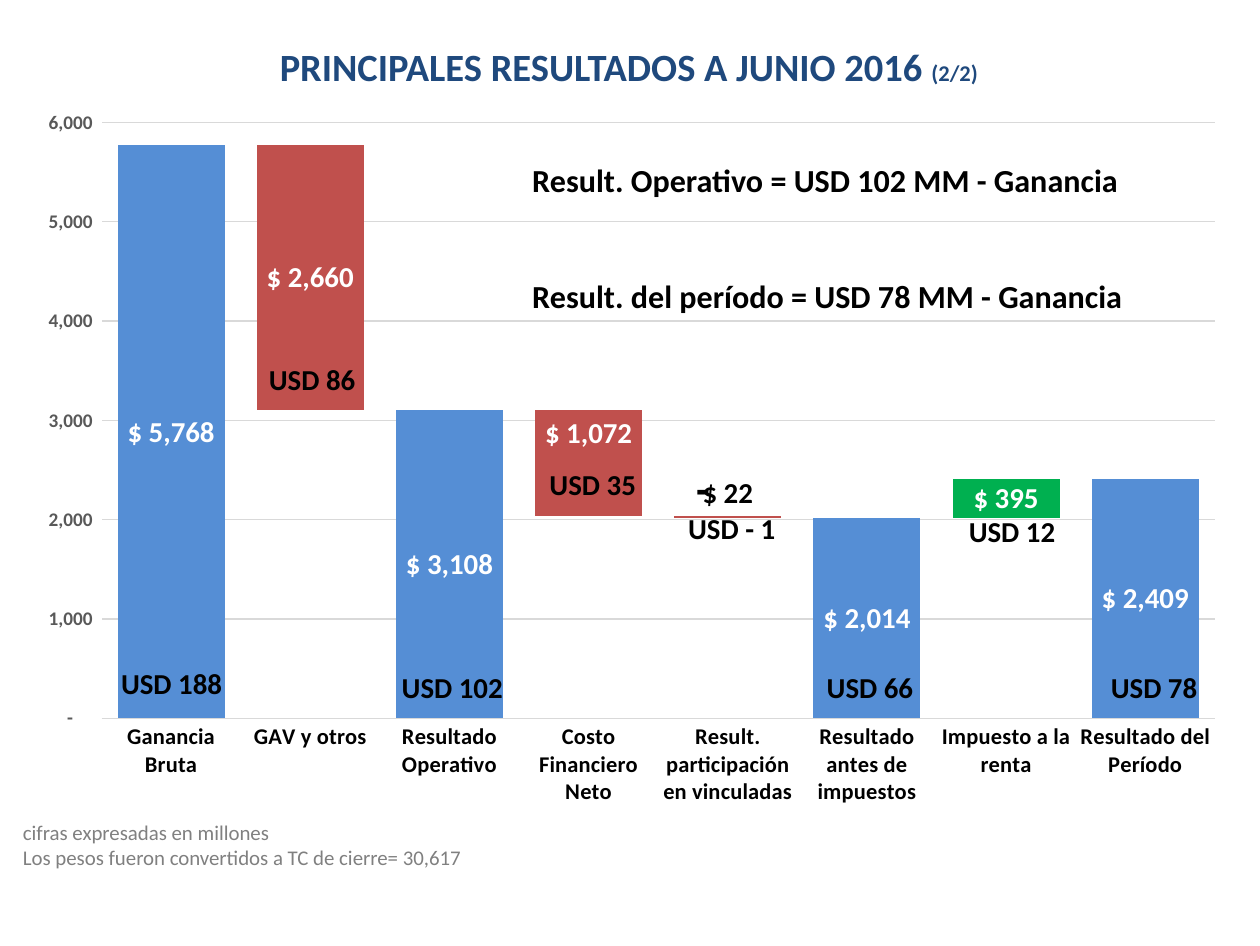
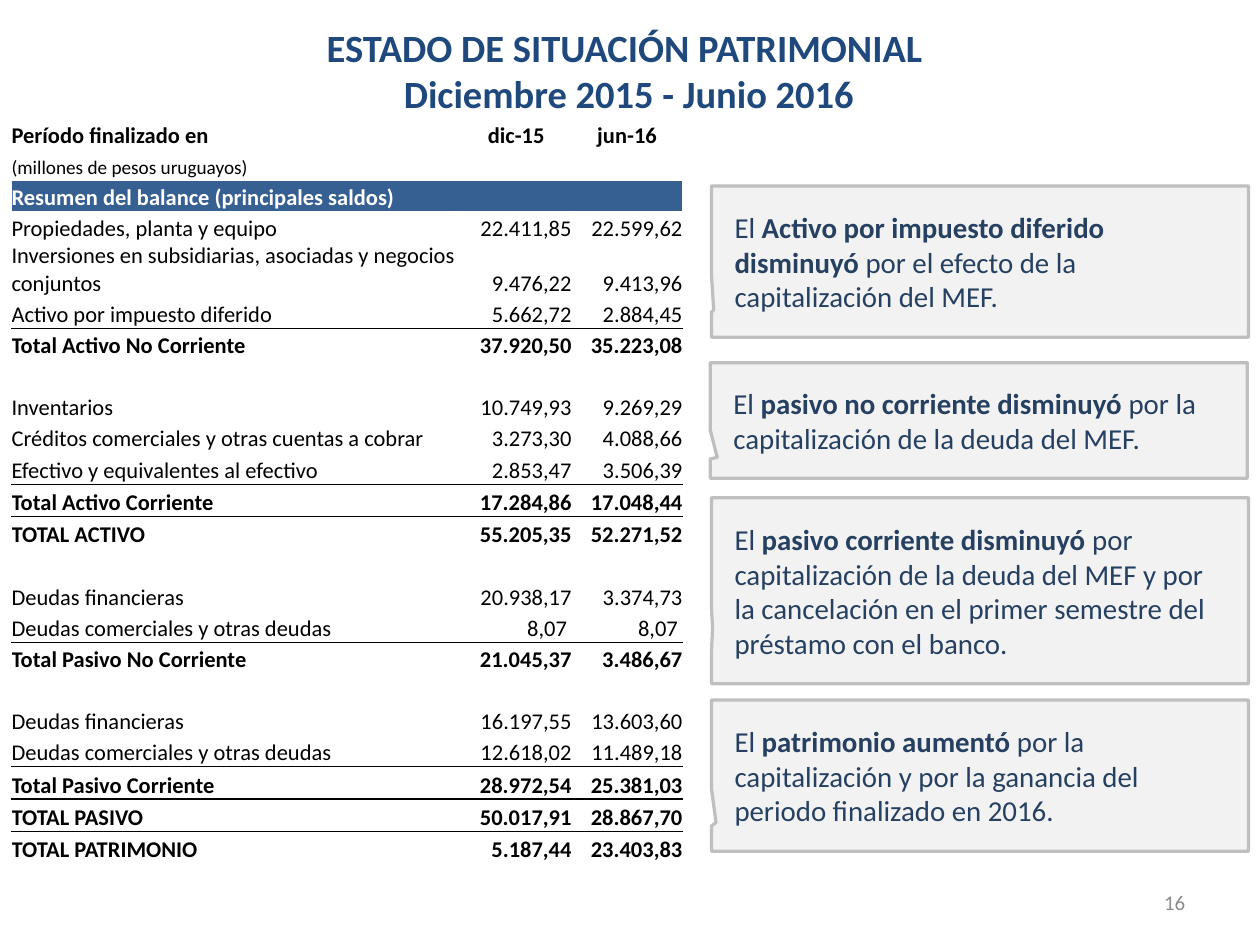
"""Builds the June 2016 results chart slide and the balance sheet slide."""
from dataclasses import dataclass
from typing import NamedTuple

from lxml import etree
from pptx import Presentation
from pptx.chart.data import CategoryChartData
from pptx.dml.color import RGBColor
from pptx.enum.chart import XL_CHART_TYPE, XL_LABEL_POSITION, XL_TICK_MARK
from pptx.enum.shapes import MSO_SHAPE
from pptx.enum.text import MSO_ANCHOR, MSO_AUTO_SIZE, PP_ALIGN
from pptx.oxml.ns import qn
from pptx.util import Emu, Pt

STACKED = XL_CHART_TYPE.COLUMN_STACKED
LABEL_CENTER = XL_LABEL_POSITION.CENTER
NO_TICK = XL_TICK_MARK.NONE
CALLOUT = MSO_SHAPE.RECTANGULAR_CALLOUT
TOP, MIDDLE, BOTTOM = MSO_ANCHOR.TOP, MSO_ANCHOR.MIDDLE, MSO_ANCHOR.BOTTOM
NO_FIT = MSO_AUTO_SIZE.NONE
LEFT, CENTER, RIGHT = PP_ALIGN.LEFT, PP_ALIGN.CENTER, PP_ALIGN.RIGHT
EMU_PER_PX = 9144
TITLE_ONLY = 5


@dataclass(frozen=True)
class Theme:
    font: str = "Calibri"
    black: str = "000000"
    white: str = "FFFFFF"
    title: str = "1F497D"
    note: str = "808080"
    page: str = "8C8C8C"
    callout_text: str = "254061"
    callout_fill: str = "F2F2F2"
    callout_line: str = "BFBFBF"
    band: str = "376092"
    axis: str = "595959"
    grid: str = "D9D9D9"
    total: str = "558ED5"
    loss: str = "C0504D"
    gain: str = "00B050"
    title_size: int = 24
    result_size: int = 20
    label_size: int = 18
    minus_size: int = 28
    table_size: int = 14
    small_size: int = 12
    note_size: int = 13


THEME = Theme()


class Box(NamedTuple):
    left: int
    top: int
    width: int
    height: int


class Run(NamedTuple):
    text: str
    size: int
    color: str = THEME.black
    bold: bool = False


class Callout(NamedTuple):
    box: Box
    tip_inset: int
    tip_drop: float
    bold_text: str
    plain_text: str


@dataclass(frozen=True)
class BalanceRow:
    label: str = ""
    december: str = ""
    june: str = ""
    bold: bool = False
    rule: float = 0
    height: int = 27
    size: int = THEME.table_size
    number_align: PP_ALIGN = RIGHT
    number_inset: int = 0
    band: bool = False


SLIDE_SIZE = (1091, 819)
CHART_BOX = Box(17, 83, 1055, 627)
PLOT_BOX = Box(88, 106, 964, 516)
PESO_FORMAT = r"[$$-2C0A]\ #,##0"
AXIS_FORMAT = r'_(* #,##0_);_(* \(#,##0\);_(* "-"??_);_('
CATEGORIES = (
    "Ganancia Bruta", "GAV y otros", "Resultado Operativo", "Costo Financiero Neto",
    "Result. participación en vinculadas", "Resultado antes de impuestos",
    "Impuesto a la renta", "Resultado del Período",
)
BASE_VALUES = (5768, 3108, 3108, 2036, 2014, 2014, 2014, 2409)
STEP_VALUES = (0, 2660, 0, 1072, 22, None, 395, None)
FLOATING = (1, 3, 4, 6)
GAIN_POINT = 6
RAISED_LABELS = ((3, -26, THEME.white), (4, -21, THEME.black))
DOLLAR_LABELS = (
    ("USD 188", 95, 571), ("USD 86", 223, 308), ("USD 102", 338, 575), ("USD 35", 466, 399),
    ("USD - 1", 586, 437), ("USD 66", 706, 575), ("USD 12", 829, 440), ("USD 78", 952, 575),
)
TABLE_BOX = Box(10, 102, 581, 641)
COLUMN_WIDTHS = (389, 96, 96)
BALANCE = (
    BalanceRow("Período finalizado en", "dic-15", "jun-16", bold=True, number_align=CENTER),
    BalanceRow("(millones de pesos uruguayos)", size=THEME.small_size),
    BalanceRow("Resumen del balance (principales saldos)", bold=True, band=True),
    BalanceRow("Propiedades, planta y equipo", "22.411,85", "22.599,62"),
    BalanceRow("Inversiones en subsidiarias, asociadas y negocios conjuntos",
               "9.476,22", "9.413,96", height=43),
    BalanceRow("Activo por impuesto diferido", "5.662,72", "2.884,45", rule=0.5),
    BalanceRow("Total Activo No Corriente", "37.920,50", "35.223,08", bold=True),
    BalanceRow(),
    BalanceRow("Inventarios", "10.749,93", "9.269,29"),
    BalanceRow("Créditos comerciales y otras cuentas a cobrar", "3.273,30", "4.088,66"),
    BalanceRow("Efectivo y equivalentes al efectivo", "2.853,47", "3.506,39", rule=0.5),
    BalanceRow("Total Activo Corriente", "17.284,86", "17.048,44", True, 1, 28),
    BalanceRow("TOTAL ACTIVO", "55.205,35", "52.271,52", True, 0, 28),
    BalanceRow(),
    BalanceRow("Deudas financieras", "20.938,17", "3.374,73"),
    BalanceRow("Deudas comerciales y otras deudas", "8,07", "8,07", rule=0.5, number_inset=4),
    BalanceRow("Total Pasivo No Corriente", "21.045,37", "3.486,67", bold=True),
    BalanceRow(),
    BalanceRow("Deudas financieras", "16.197,55", "13.603,60"),
    BalanceRow("Deudas comerciales y otras deudas", "12.618,02", "11.489,18", rule=0.5),
    BalanceRow("Total Pasivo Corriente", "28.972,54", "25.381,03", True, 1, 28),
    BalanceRow("TOTAL PASIVO", "50.017,91", "28.867,70", True, 1, 28),
    BalanceRow("TOTAL PATRIMONIO", "5.187,44", "23.403,83", True, 0, 28),
)
CALLOUTS = (
    Callout(Box(616, 161, 465, 131), 2, 0.32, "Activo por impuesto diferido disminuyó",
            " por el efecto de la capitalización del MEF."),
    Callout(Box(615, 314, 465, 100), 6, 0.32, "pasivo no corriente disminuyó",
            " por la capitalización de la deuda del MEF."),
    Callout(Box(616, 431, 465, 161), 1, 0.2, "pasivo corriente disminuyó",
            " por capitalización de la deuda del MEF y por la cancelación en el primer "
            "semestre del préstamo con el banco."),
    Callout(Box(616, 606, 465, 131), 4, 0.31, "patrimonio aumentó",
            " por la capitalización y por la ganancia del periodo finalizado en 2016."),
)


def px(length: float) -> Emu:
    return Emu(round(length * EMU_PER_PX))


def emu_box(box: Box) -> tuple:
    return tuple(px(length) for length in box)


def rgb(color: str) -> RGBColor:
    return RGBColor.from_string(color)


def style_font(font, size: int, color: str, bold: bool) -> None:
    font.name, font.size, font.bold = THEME.font, Pt(size), bold
    font.color.rgb = rgb(color)


def fill_solid(fill, color: str) -> None:
    fill.solid()
    fill.fore_color.rgb = rgb(color)


def write(text_frame, paragraphs: tuple, align=LEFT, gap: int = 0) -> None:
    for index, runs in enumerate(paragraphs):
        paragraph = text_frame.add_paragraph() if index else text_frame.paragraphs[0]
        paragraph.alignment = align
        if index and gap:
            paragraph.space_before = Pt(gap)
        for item in runs:
            run = paragraph.add_run()
            run.text = item.text
            style_font(run.font, item.size, item.color, item.bold)


def add_text(slide, box: Box, *paragraphs: tuple, align=LEFT, anchor=TOP, gap: int = 0) -> None:
    text_frame = slide.shapes.add_textbox(*emu_box(box)).text_frame
    text_frame.word_wrap = True
    text_frame.vertical_anchor = anchor
    write(text_frame, paragraphs, align, gap)


def add_titled_slide(presentation, box: Box, *paragraphs: tuple):
    slide = presentation.slides.add_slide(presentation.slide_layouts[TITLE_ONLY])
    title = slide.shapes.title
    title.left, title.top, title.width, title.height = emu_box(box)
    title.text_frame.auto_size = NO_FIT
    title.text_frame.vertical_anchor = TOP
    write(title.text_frame, paragraphs, CENTER)
    return slide


def title_run(text: str, size: int = THEME.title_size) -> Run:
    return Run(text, size, THEME.title, True)


def manual_layout(**settings: object):
    layout = etree.Element(qn("c:layout"))
    manual = etree.SubElement(layout, qn("c:manualLayout"))
    for name, value in settings.items():
        etree.SubElement(manual, qn(f"c:{name}"), val=str(value))
    return layout


def place_plot(chart) -> None:
    plot_area = chart.plots[0]._element.getparent()
    for layout in plot_area.findall(qn("c:layout")):
        plot_area.remove(layout)
    plot_area.insert(0, manual_layout(
        layoutTarget="inner", xMode="edge", yMode="edge",
        x=(PLOT_BOX.left - CHART_BOX.left) / CHART_BOX.width,
        y=(PLOT_BOX.top - CHART_BOX.top) / CHART_BOX.height,
        w=PLOT_BOX.width / CHART_BOX.width,
        h=PLOT_BOX.height / CHART_BOX.height))


def label_series(series, hidden_points: tuple) -> None:
    labels = series.data_labels
    labels.show_value = True
    labels.position = LABEL_CENTER
    labels.number_format, labels.number_format_is_linked = PESO_FORMAT, False
    style_font(labels.font, THEME.label_size, THEME.white, True)
    for index in hidden_points:
        label = labels._element.get_or_add_dLbl_for_point(index)
        for child in list(label)[1:]:
            label.remove(child)
        etree.SubElement(label, qn("c:delete"), val="1")


def raise_label(series, index: int, shift: int, color: str) -> None:
    label = series.points[index].data_label
    style_font(label.font, THEME.label_size, color, True)
    label.position = LABEL_CENTER
    element = series.data_labels._element.get_or_add_dLbl_for_point(index)
    element.insert(1, manual_layout(x=0, y=shift / CHART_BOX.height))


def style_axes(chart) -> None:
    category, value = chart.category_axis, chart.value_axis
    for axis, size, color in ((category, THEME.table_size, THEME.black),
                              (value, THEME.small_size, THEME.axis)):
        axis.major_tick_mark = axis.minor_tick_mark = NO_TICK
        style_font(axis.tick_labels.font, size, color, True)
    value.minimum_scale, value.maximum_scale, value.major_unit = 0, 6000, 1000
    value.tick_labels.number_format = AXIS_FORMAT
    value.tick_labels.number_format_is_linked = False
    value.format.line.fill.background()
    for line in (category.format.line, value.major_gridlines.format.line):
        line.color.rgb, line.width = rgb(THEME.grid), Pt(0.75)


def add_waterfall(slide) -> None:
    data = CategoryChartData(number_format=PESO_FORMAT)
    data.categories = CATEGORIES
    data.add_series("Series 1", BASE_VALUES)
    data.add_series("Series 2", STEP_VALUES)
    chart = slide.shapes.add_chart(STACKED, *emu_box(CHART_BOX), data).chart
    chart.has_legend = chart.has_title = False
    style_font(chart.font, 10, THEME.black, False)
    plot = chart.plots[0]
    plot.gap_width, plot.overlap, plot.vary_by_categories = 30, 100, False
    base, steps = plot.series
    fill_solid(base.format.fill, THEME.total)
    fill_solid(steps.format.fill, THEME.loss)
    for index in FLOATING:
        base.points[index].format.fill.background()
    fill_solid(steps.points[GAIN_POINT].format.fill, THEME.gain)
    label_series(base, FLOATING)
    label_series(steps, (0, 2))
    for index, shift, color in RAISED_LABELS:
        raise_label(steps, index, shift, color)
    style_axes(chart)
    place_plot(chart)


def add_rule(cell, side: str, width: float) -> None:
    line = etree.SubElement(cell._tc.get_or_add_tcPr(), qn(f"a:{side}"), w=str(Pt(width)))
    fill = etree.SubElement(line, qn("a:solidFill"))
    etree.SubElement(fill, qn("a:srgbClr"), val=THEME.black)


def fill_cell(cell, row: BalanceRow, text: str, is_label: bool, rule_above: float) -> None:
    cell.margin_left = cell.margin_top = cell.margin_bottom = 0
    cell.margin_right = 0 if is_label else px(row.number_inset)
    cell.vertical_anchor = BOTTOM
    for side, width in (("lnT", rule_above), ("lnB", row.rule)):
        if width:
            add_rule(cell, side, width)
    fill_solid(cell.fill, THEME.band if row.band else THEME.white)
    if text:
        color = THEME.white if row.band else THEME.black
        write(cell.text_frame, ((Run(text, row.size, color, row.bold),),),
              LEFT if is_label else row.number_align)
    else:
        paragraph = cell.text_frame.paragraphs[0]._p
        etree.SubElement(paragraph, qn("a:endParaRPr"), sz=str(row.size * 100))


def add_balance(slide) -> None:
    table = slide.shapes.add_table(len(BALANCE), len(COLUMN_WIDTHS), *emu_box(TABLE_BOX)).table
    table.first_row = table.horz_banding = False
    for column, width in zip(table.columns, COLUMN_WIDTHS):
        column.width = px(width)
    rule_above = 0
    for index, row in enumerate(BALANCE):
        table.rows[index].height = px(row.height)
        for column, text in enumerate((row.label, row.december, row.june)):
            fill_cell(table.cell(index, column), row, text, column == 0, rule_above)
        if row.band:
            table.cell(index, 0).merge(table.cell(index, len(COLUMN_WIDTHS) - 1))
        rule_above = row.rule


def add_callout(slide, callout: Callout) -> None:
    shape = slide.shapes.add_shape(CALLOUT, *emu_box(callout.box))
    shape.adjustments[0] = callout.tip_inset / callout.box.width - 0.5
    shape.adjustments[1] = callout.tip_drop
    shape.shadow.inherit = False
    fill_solid(shape.fill, THEME.callout_fill)
    shape.line.color.rgb, shape.line.width = rgb(THEME.callout_line), Pt(2)
    frame = shape.text_frame
    frame.word_wrap, frame.vertical_anchor = True, MIDDLE
    frame.margin_left = frame.margin_right = frame.margin_top = frame.margin_bottom = px(20)
    parts = (("El ", False), (callout.bold_text, True), (callout.plain_text, False))
    write(frame, (tuple(Run(text, THEME.label_size, THEME.callout_text, bold)
                        for text, bold in parts),))


def build_results(presentation) -> None:
    slide = add_titled_slide(presentation, Box(10, 32, 1069, 50), (
        title_run("PRINCIPALES RESULTADOS A JUNIO 2016 "), title_run("(2/2)", THEME.table_size)))
    add_waterfall(slide)
    notes = ("cifras expresadas en millones", "Los pesos fueron convertidos a TC de cierre= 30,617")
    add_text(slide, Box(10, 705, 459, 54),
             *((Run(note, THEME.note_size, THEME.note),) for note in notes))
    add_text(slide, Box(593, 394, 31, 57), (Run("-", THEME.minus_size, bold=True),))
    for text, left, top in DOLLAR_LABELS:
        add_text(slide, Box(left, top, 134, 40), (Run(text, THEME.label_size, bold=True),))
    results = ("Result. Operativo = USD 102 MM - Ganancia", "Result. del período = USD 78 MM - Ganancia")
    add_text(slide, Box(451, 134, 591, 145),
             *((Run(result, THEME.result_size, bold=True),) for result in results), gap=48)


def build_balance(presentation) -> None:
    slide = add_titled_slide(presentation, Box(10, 16, 1069, 91),
                             (title_run("ESTADO DE SITUACIÓN PATRIMONIAL "),),
                             (title_run("Diciembre 2015 - Junio 2016"),))
    add_balance(slide)
    for callout in CALLOUTS:
        add_callout(slide, callout)
    add_text(slide, Box(782, 759, 254, 44), (Run("16", THEME.note_size, THEME.page),),
             align=RIGHT, anchor=MIDDLE)


def main() -> None:
    presentation = Presentation()
    presentation.slide_width, presentation.slide_height = (px(side) for side in SLIDE_SIZE)
    build_results(presentation)
    build_balance(presentation)
    presentation.save("out.pptx")


if __name__ == "__main__":
    main()
